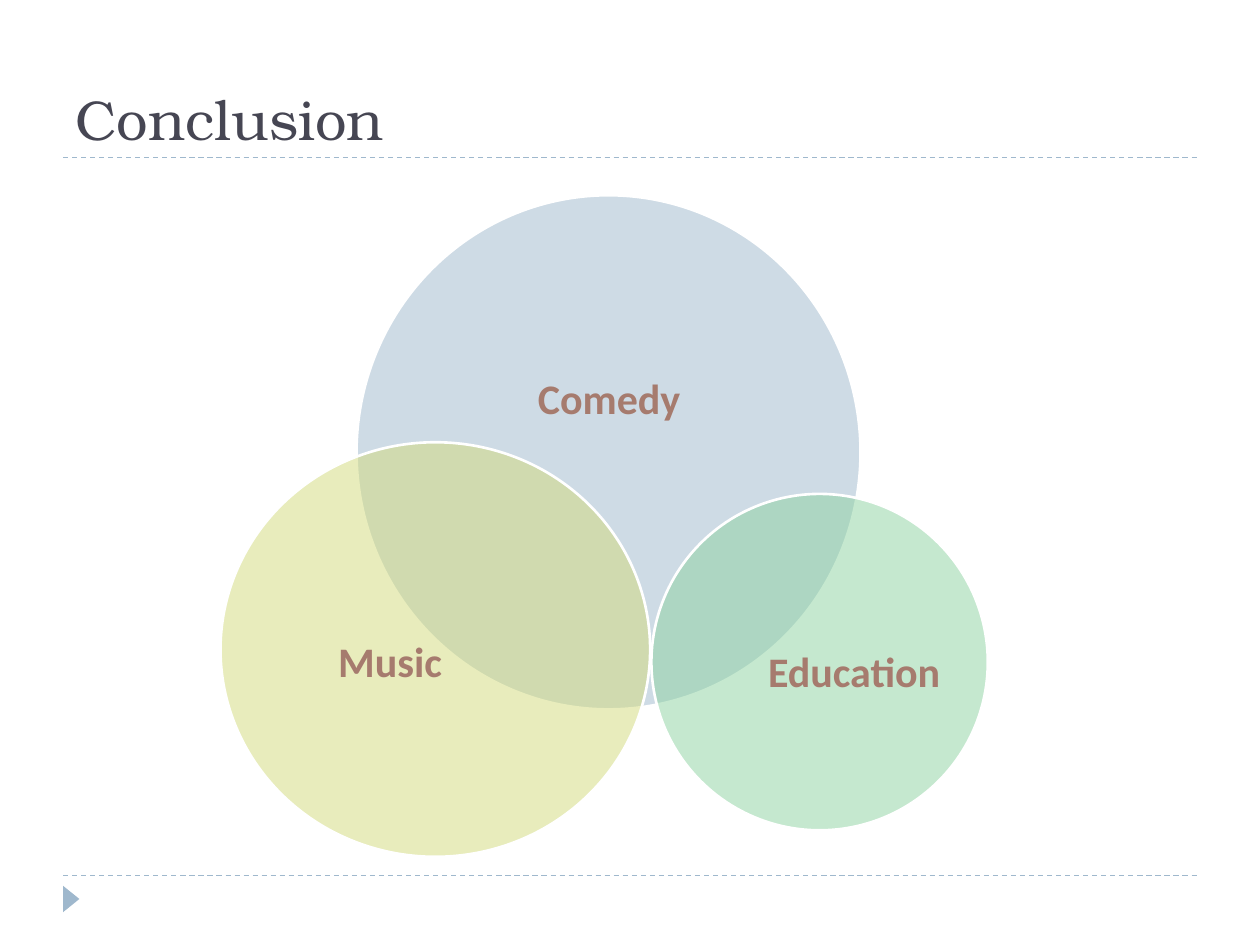
from lxml import etree
from pptx import Presentation
from pptx.dml.color import RGBColor
from pptx.enum.dml import MSO_LINE
from pptx.enum.shapes import MSO_CONNECTOR, MSO_SHAPE
from pptx.enum.text import MSO_ANCHOR, PP_ALIGN
from pptx.oxml.ns import qn
from pptx.util import Inches, Pt

DASH = MSO_LINE.DASH
LINE = MSO_CONNECTOR.STRAIGHT
OVAL = MSO_SHAPE.OVAL
TRIANGLE = MSO_SHAPE.ISOSCELES_TRIANGLE
MIDDLE = MSO_ANCHOR.MIDDLE
BOTTOM = MSO_ANCHOR.BOTTOM
CENTER = PP_ALIGN.CENTER
LEFT = PP_ALIGN.LEFT

COLORS = {
    "title": "464653",
    "label": "A67B6E",
    "blue": "9FB8CD",
    "green": "8DD3A0",
    "lime": "D2DA7A",
    "white": "FFFFFF",
}


class Deck:
    serif = "TeX Gyre Bonum"
    sans = "Calibri"

    def __init__(self, slide):
        self.slide = slide
        self.shapes = slide.shapes

    def color(self, name):
        return RGBColor.from_string(COLORS[name])

    def rule(self, top):
        line = self.shapes.add_connector(
            LINE, Inches(0.5), Inches(top), Inches(9.5), Inches(top))
        line.line.color.rgb = self.color("blue")
        line.line.width = Pt(0.75)
        line.line.dash_style = DASH
        etree.SubElement(line._element.spPr, qn("a:effectLst"))

    def shape(self, kind, box, fill):
        shape = self.shapes.add_shape(kind, *map(Inches, box))
        shape.shadow.inherit = False
        shape.fill.solid()
        shape.fill.fore_color.rgb = self.color(fill)
        shape.line.fill.background()
        return shape

    def marker(self, box):
        self.shape(TRIANGLE, box, "blue").rotation = 90

    def circle(self, box, fill):
        oval = self.shape(OVAL, box, fill)
        oval.line.color.rgb = self.color("white")
        oval.line.width = Pt(1.5)
        tint = oval._element.spPr.find(qn("a:solidFill"))[0]
        etree.SubElement(tint, qn("a:alpha"), val="50000")

    def text(self, words, box, size, font, color, anchor, align):
        frame = self.shapes.add_textbox(*map(Inches, box)).text_frame
        frame.word_wrap = True
        frame.vertical_anchor = anchor
        para = frame.paragraphs[0]
        para.text = words
        para.alignment = align
        para.font.size = Pt(size)
        para.font.name = font
        para.font.color.rgb = self.color(color)
        return frame

    def title(self, words, box):
        self.text(words, box, 32, self.serif, "title", BOTTOM, LEFT)

    def label(self, words, box):
        frame = self.text(words, box, 24, self.sans, "label", MIDDLE, CENTER)
        frame.margin_left = frame.margin_right = 0
        frame.margin_top = frame.margin_bottom = 0
        frame.paragraphs[0].font.bold = True
        frame.paragraphs[0].line_spacing = 0.9


def main():
    prs = Presentation()
    prs.slide_width = Inches(10)
    prs.slide_height = Inches(7.5)
    deck = Deck(prs.slides.add_slide(prs.slide_layouts[6]))

    for top in (6.95, 1.25):
        deck.rule(top)
    deck.marker((0.46, 7.07, 0.21, 0.13))
    deck.title("Conclusion", (0.5, 0.17, 9, 1.08))

    topics = [
        ("Comedy", "blue", (2.83, 1.55, 4, 4.08), (3.37, 2.26, 2.93, 1.84)),
        ("Education", "green", (5.17, 3.92, 2.67, 2.67), (5.98, 4.61, 1.6, 1.47)),
        ("Music", "lime", (1.75, 3.51, 3.41, 3.29), (2.07, 4.36, 2.05, 1.81)),
    ]
    for words, fill, disc, box in topics:
        deck.circle(disc, fill)
        deck.label(words, box)

    prs.save("out.pptx")


if __name__ == "__main__":
    main()
